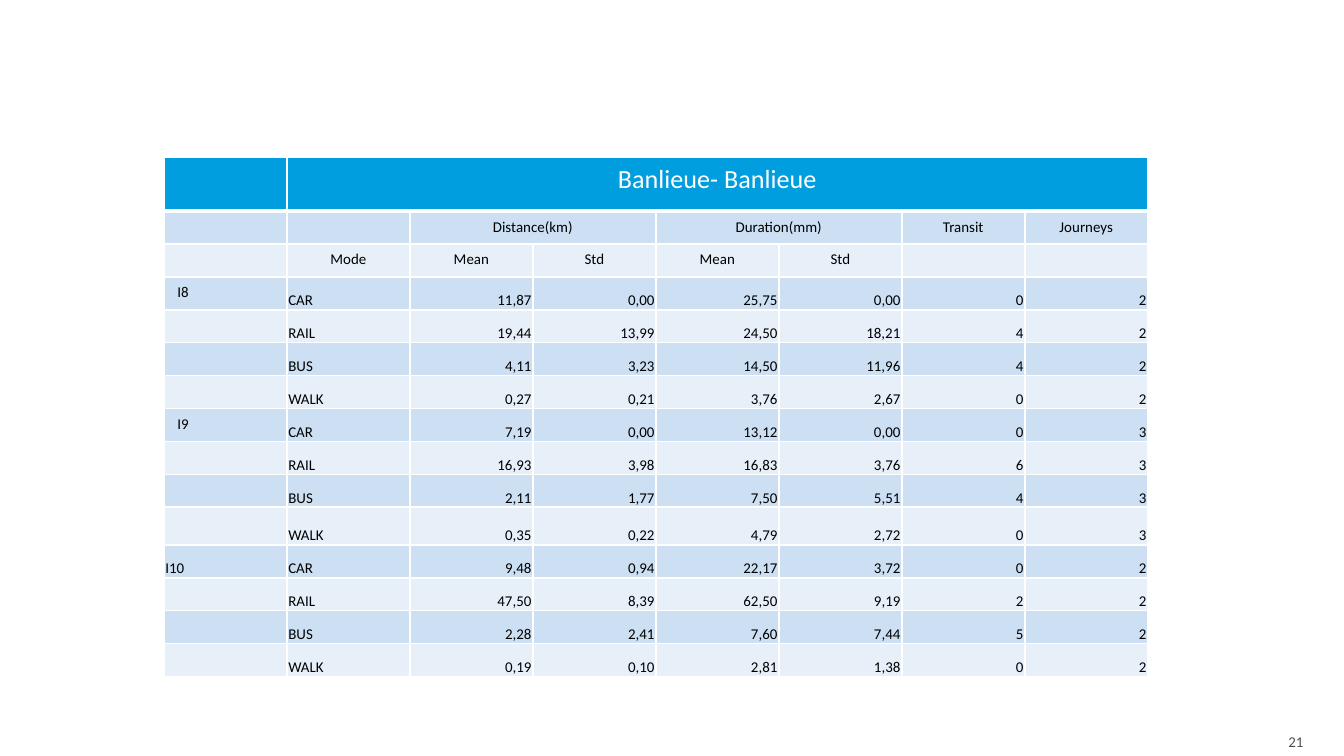
"""Build the slide with the table of journey statistics by mode, suburb to suburb."""
from dataclasses import dataclass

import lxml.etree
import pptx
import pptx.dml.color
import pptx.enum.text
import pptx.oxml.ns
import pptx.util

ALIGN = pptx.enum.text.PP_ALIGN
ANCHOR = pptx.enum.text.MSO_ANCHOR
FONT = "Calibri"
WIDTH = 10
HEIGHT = WIDTH * 9 / 16
LEFT, TOP = 1.22, 1.17
COLUMN_WIDTH = 0.915
ROW_HEIGHT, TITLE_HEIGHT, TALL_HEIGHT = 0.245, 0.4, 0.28
TALL_ROW = 10
HEADER_FILL, BAND_FILLS = "009DDF", ("CCDFF3", "E7EFF9")
WHITE, BLACK, GREY = "FFFFFF", "000000", "4E4E4E"


@dataclass(frozen=True)
class Entry:
    """The text of one table cell and how it is set."""

    text: str = ""
    align: ALIGN = ALIGN.LEFT
    tight: bool = False
    size: float = 8
    color: str = BLACK
    span: int = 1


@dataclass(frozen=True)
class Journey:
    """One individual and the figures of each mode used."""

    name: str
    modes: dict[str, str]
    tight_name: bool = False


JOURNEYS = [
    Journey("I8", {
        "CAR": "11,87 0,00 25,75 0,00 0 2",
        "RAIL": "19,44 13,99 24,50 18,21 4 2",
        "BUS": "4,11 3,23 14,50 11,96 4 2",
        "WALK": "0,27 0,21 3,76 2,67 0 2",
    }),
    Journey("I9", {
        "CAR": "7,19 0,00 13,12 0,00 0 3",
        "RAIL": "16,93 3,98 16,83 3,76 6 3",
        "BUS": "2,11 1,77 7,50 5,51 4 3",
        "WALK": "0,35 0,22 4,79 2,72 0 3",
    }),
    Journey("I10", {
        "CAR": "9,48 0,94 22,17 3,72 0 2",
        "RAIL": "47,50 8,39 62,50 9,19 2 2",
        "BUS": "2,28 2,41 7,60 7,44 5 2",
        "WALK": "0,19 0,10 2,81 1,38 0 2",
    }, tight_name=True),
]


def rgb(color: str) -> pptx.dml.color.RGBColor:
    """Turn a hex string into a colour."""
    return pptx.dml.color.RGBColor.from_string(color)


def heading(text: str, span: int = 1) -> Entry:
    """Describe a centred column heading."""
    return Entry(text, ALIGN.CENTER, span=span)


def table_rows() -> list[list[Entry]]:
    """List the entries of every row, each spanned cell written once."""
    title = Entry("Banlieue- Banlieue", ALIGN.CENTER, size=14, color=WHITE, span=7)
    rows = [
        [Entry(), title],
        [Entry(), Entry(), heading("Distance(km)", 2), heading("Duration(mm)", 2),
         heading("Transit"), heading("Journeys")],
        [Entry(), *map(heading, ("Mode", "Mean", "Std", "Mean", "Std")), Entry(), Entry()],
    ]
    for journey in JOURNEYS:
        for index, (mode, figures) in enumerate(journey.modes.items()):
            name = Entry() if index else Entry(journey.name, tight=journey.tight_name)
            numbers = [Entry(figure, ALIGN.RIGHT, True) for figure in figures.split()]
            rows.append([name, Entry(mode, tight=True), *numbers])
    return rows


def write_text(frame, text: str, align: ALIGN, size: float, color: str) -> None:
    """Write one formatted paragraph into a text frame."""
    frame.text = text
    paragraph = frame.paragraphs[0]
    paragraph.alignment = align
    font = paragraph.font
    font.name, font.size, font.bold = FONT, pptx.util.Pt(size), False
    font.color.rgb = rgb(color)


def add_borders(cell, bottom: float) -> None:
    """Draw white lines round a cell, the lower one of the given width."""
    properties = cell._tc.get_or_add_tcPr()
    for side, width in (("L", 1), ("R", 1), ("T", 1), ("B", bottom)):
        line = lxml.etree.SubElement(properties, pptx.oxml.ns.qn(f"a:ln{side}"),
                                     w=str(pptx.util.Pt(width)))
        fill = lxml.etree.SubElement(line, pptx.oxml.ns.qn("a:solidFill"))
        lxml.etree.SubElement(fill, pptx.oxml.ns.qn("a:srgbClr"), val=WHITE)


def style_cell(cell, row: int) -> None:
    """Give a cell its borders and the fill of its row."""
    add_borders(cell, 1 if row else 3)
    cell.fill.solid()
    cell.fill.fore_color.rgb = rgb(BAND_FILLS[(row - 1) % 2] if row else HEADER_FILL)


def write_cell(cell, entry: Entry) -> None:
    """Write an entry into a cell."""
    if entry.text:
        write_text(cell.text_frame, entry.text, entry.align, entry.size, entry.color)
    else:
        lxml.etree.SubElement(cell.text_frame.paragraphs[0]._p,
                              pptx.oxml.ns.qn("a:endParaRPr"), sz=str(int(entry.size * 100)))
    if entry.tight:
        cell.vertical_anchor = ANCHOR.BOTTOM
        cell.margin_left = cell.margin_right = cell.margin_top = pptx.util.Inches(0.01)
        cell.margin_bottom = 0


def add_statistics(slide) -> None:
    """Add the table of distances and durations."""
    rows = table_rows()
    heights = [ROW_HEIGHT] * len(rows)
    heights[0], heights[TALL_ROW] = TITLE_HEIGHT, TALL_HEIGHT
    columns = sum(entry.span for entry in rows[0])
    frame = slide.shapes.add_table(len(rows), columns, *map(
        pptx.util.Inches, (LEFT, TOP, columns * COLUMN_WIDTH, sum(heights))))
    table = frame.table
    table.first_row = table.horz_banding = False
    for column in table.columns:
        column.width = pptx.util.Inches(COLUMN_WIDTH)
    for row, entries in enumerate(rows):
        table.rows[row].height = pptx.util.Inches(heights[row])
        for column in range(columns):
            style_cell(table.cell(row, column), row)
        column = 0
        for entry in entries:
            cell = table.cell(row, column)
            if entry.span > 1:
                cell.merge(table.cell(row, column + entry.span - 1))
            write_cell(cell, entry)
            column += entry.span


def add_page_number(slide, number: str) -> None:
    """Add the page number at the lower right."""
    box = slide.shapes.add_textbox(*map(
        pptx.util.Inches, (0.88 * WIDTH, 0.96 * HEIGHT, 0.09 * WIDTH, 0.24)))
    frame = box.text_frame
    frame.word_wrap = True
    frame.vertical_anchor = ANCHOR.MIDDLE
    frame.margin_right = 0
    write_text(frame, number, ALIGN.RIGHT, 8, GREY)


def main() -> None:
    """Build and save the deck."""
    deck = pptx.Presentation()
    deck.slide_width, deck.slide_height = map(pptx.util.Inches, (WIDTH, HEIGHT))
    slide = deck.slides.add_slide(deck.slide_layouts[6])
    add_page_number(slide, "21")
    add_statistics(slide)
    deck.save("out.pptx")


if __name__ == "__main__":
    main()
